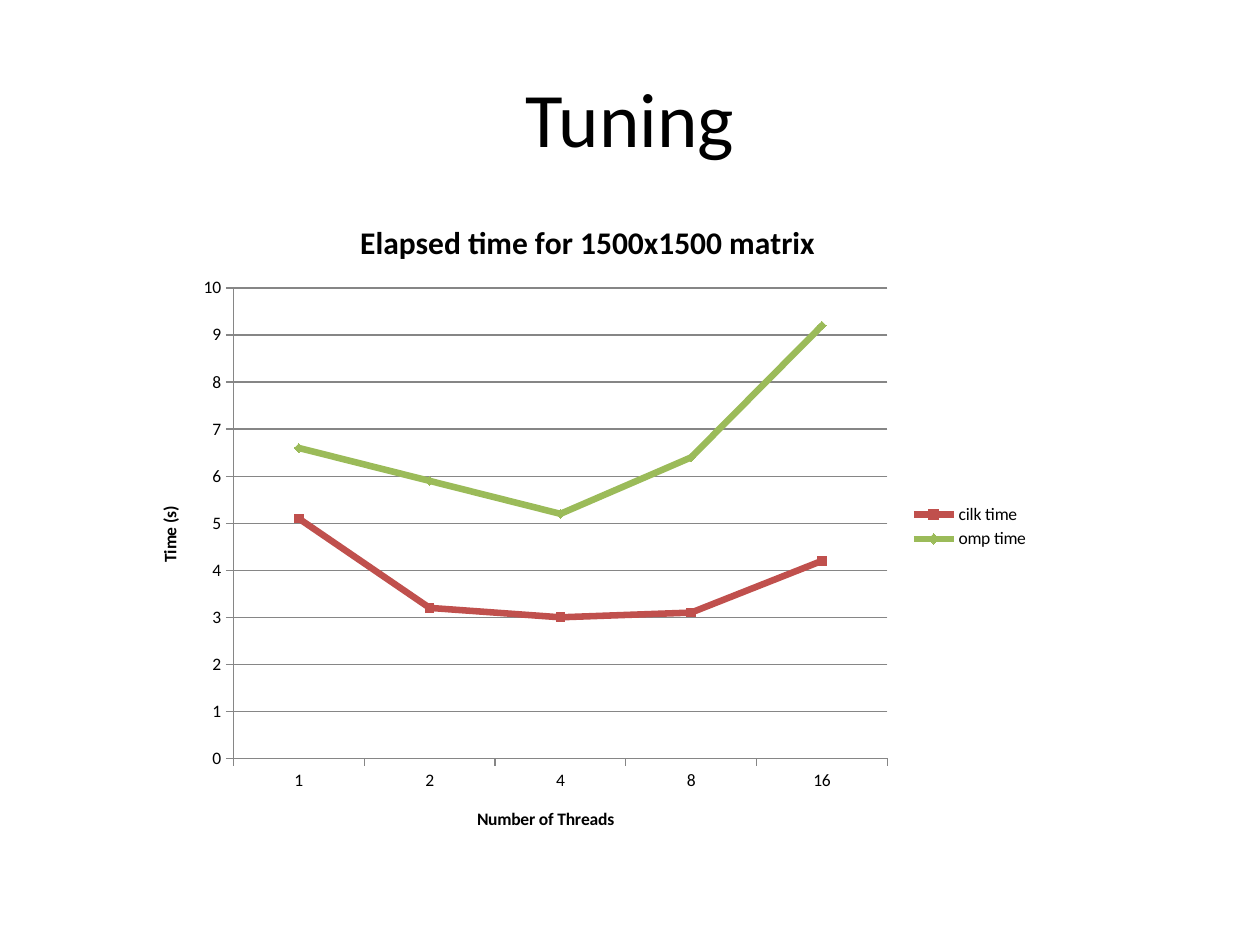
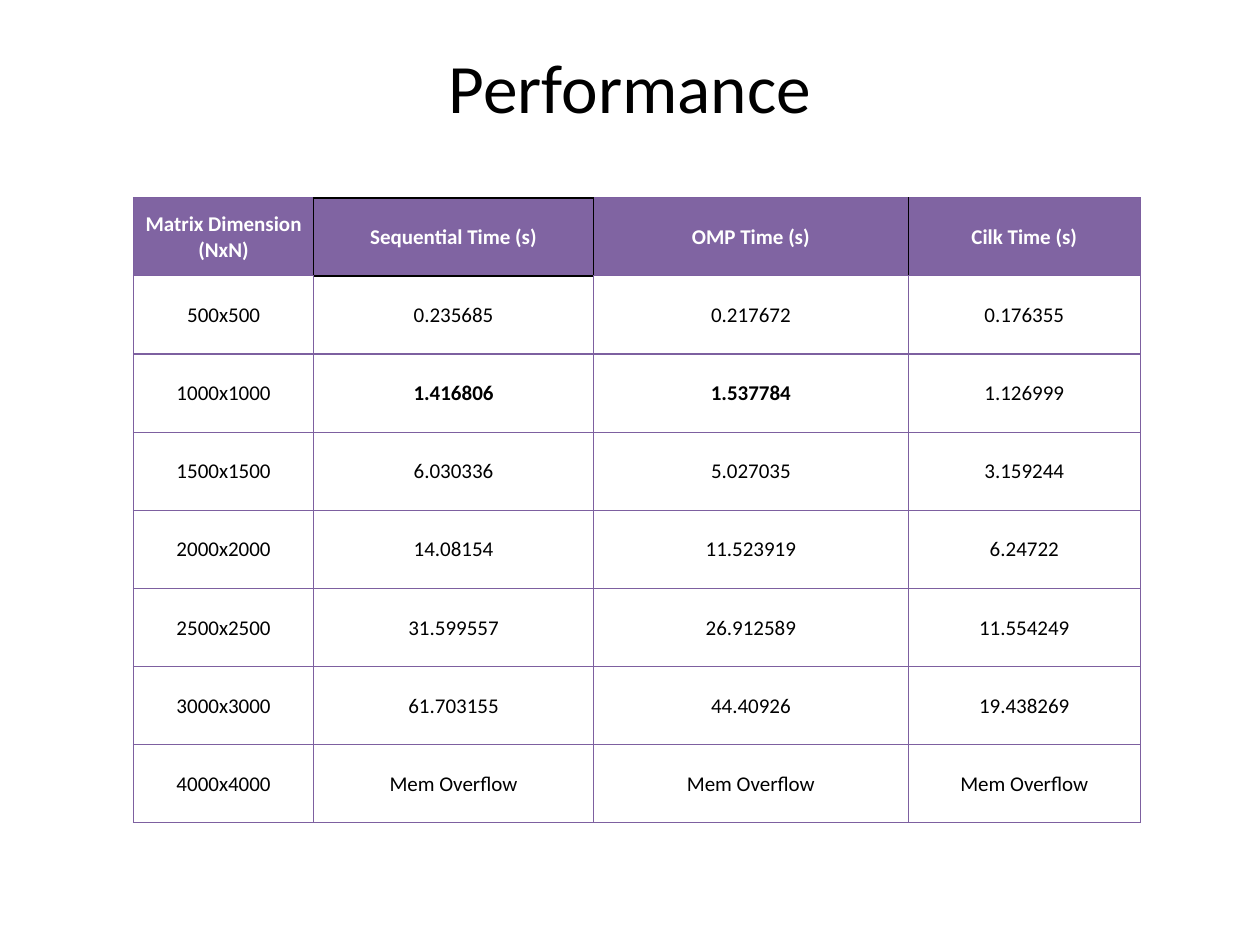
"""Build two slides on matrix timings: a thread tuning chart and a performance table."""
from dataclasses import dataclass
from typing import Any

import pptx
import pptx.chart.data
import pptx.dml.color
import pptx.enum.chart
import pptx.enum.text
import pptx.oxml
import pptx.oxml.ns
import pptx.util
from pptx.util import Inches

FONT = "Calibri"
COLOURS = {
    "text": "000000",
    "paper": "FFFFFF",
    "header": "8064A2",
    "border": "7D60A0",
    "grid": "868686",
    "cilk": "C0504D",
    "omp": "9BBB59",
}
PLOT_AREA = {"x": 0.11, "y": 0.14, "w": 0.72, "h": 0.71}
THREADS = (1, 2, 4, 8, 16)
COLUMN_WIDTHS = (1.43, 2.22, 2.5, 1.84)
ROW_HEIGHT = 0.62
CELL_FORMAT = {
    "margin_left": Inches(0.01),
    "margin_top": Inches(0.01),
    "margin_right": Inches(0.01),
    "margin_bottom": 0,
    "vertical_anchor": pptx.enum.text.MSO_ANCHOR.MIDDLE,
}
TIMINGS = (
    ("Matrix Dimension (NxN)", "Sequential Time (s)", "OMP Time (s)", "Cilk Time (s)"),
    ("500x500", "0.235685", "0.217672", "0.176355"),
    ("1000x1000", "1.416806", "1.537784", "1.126999"),
    ("1500x1500", "6.030336", "5.027035", "3.159244"),
    ("2000x2000", "14.08154", "11.523919", "6.24722"),
    ("2500x2500", "31.599557", "26.912589", "11.554249"),
    ("3000x3000", "61.703155", "44.40926", "19.438269"),
    ("4000x4000", "Mem Overflow", "Mem Overflow", "Mem Overflow"),
)
BOLD_TIMES = {(2, 1), (2, 2)}
BLACK_EDGES = {
    (0, 0): "R",
    (0, 1): "LRTB",
    (0, 2): "LR",
    (0, 3): "L",
    (1, 1): "T",
}


@dataclass(frozen=True)
class Timing:
    name: str
    seconds: tuple[float, ...]
    colour: str
    marker: Any


@dataclass(frozen=True)
class Heading:
    text: str
    height: float
    size: float


TUNING = Heading("Tuning", 1.25, 44)
PERFORMANCE = Heading("Performance", 0.76, 39.6)
MARKERS = pptx.enum.chart.XL_MARKER_STYLE
THREAD_TIMINGS = (
    Timing("cilk time", (5.1, 3.2, 3, 3.1, 4.2), "cilk", MARKERS.SQUARE),
    Timing("omp time", (6.6, 5.9, 5.2, 6.4, 9.2), "omp", MARKERS.DIAMOND),
)


def apply(target: Any, values: dict[str, Any]) -> None:
    for attribute, value in values.items():
        setattr(target, attribute, value)


def rgb(colour: str) -> pptx.dml.color.RGBColor:
    return pptx.dml.color.RGBColor.from_string(COLOURS[colour])


def style_font(font: Any, size: float, bold: bool = False, colour: str = "text") -> None:
    apply(font, {"name": FONT, "size": pptx.util.Pt(size), "bold": bold})
    font.color.rgb = rgb(colour)


def style_line(line: Any, colour: str, width: float) -> None:
    line.color.rgb = rgb(colour)
    line.width = pptx.util.Pt(width)


def add_titled_slide(deck: Any, heading: Heading) -> Any:
    slide = deck.slides.add_slide(deck.slide_layouts[5])
    title = slide.shapes.title
    apply(title, {"left": Inches(0.5), "top": Inches(0.3),
                  "width": Inches(9), "height": Inches(heading.height)})
    title.text_frame.text = heading.text
    title.text_frame.vertical_anchor = pptx.enum.text.MSO_ANCHOR.MIDDLE
    paragraph = title.text_frame.paragraphs[0]
    paragraph.alignment = pptx.enum.text.PP_ALIGN.CENTER
    style_font(paragraph.runs[0].font, heading.size)
    return slide


def set_chart_title(owner: Any, text: str, size: float) -> None:
    frame = (owner.chart_title if hasattr(owner, "chart_title") else owner.axis_title).text_frame
    frame.text = text
    style_font(frame.paragraphs[0].runs[0].font, size, bold=True)


def place_plot(chart: Any) -> None:
    plot_area = chart.plots[0]._element.getparent()
    for old in plot_area.findall(pptx.oxml.ns.qn("c:layout")):
        plot_area.remove(old)
    edges = "".join(f'<c:{key} val="{value}"/>' for key, value in PLOT_AREA.items())
    plot_area.insert(0, pptx.oxml.parse_xml(
        f'<c:layout {pptx.oxml.ns.nsdecls("c")}><c:manualLayout><c:layoutTarget val="inner"/>'
        f'<c:xMode val="edge"/><c:yMode val="edge"/>{edges}</c:manualLayout></c:layout>'))


def add_tuning_chart(slide: Any) -> None:
    data = pptx.chart.data.CategoryChartData()
    data.categories = THREADS
    for timing in THREAD_TIMINGS:
        data.add_series(timing.name, timing.seconds)
    chart = slide.shapes.add_chart(
        pptx.enum.chart.XL_CHART_TYPE.LINE_MARKERS,
        Inches(1.06), Inches(1.55), Inches(7.21), Inches(5.26), data).chart
    style_font(chart.font, 10)
    set_chart_title(chart, "Elapsed time for 1500x1500 matrix", 18)
    chart.has_legend = True
    apply(chart.legend, {"position": pptx.enum.chart.XL_LEGEND_POSITION.RIGHT,
                         "include_in_layout": False})
    for axis, caption in ((chart.category_axis, "Number of Threads"),
                          (chart.value_axis, "Time (s)")):
        set_chart_title(axis, caption, 10)
        axis.major_tick_mark = pptx.enum.chart.XL_TICK_MARK.OUTSIDE
        style_line(axis.format.line, "grid", 0.75)
    apply(chart.value_axis, {"minimum_scale": 0, "maximum_scale": 10, "major_unit": 1,
                             "has_major_gridlines": True})
    style_line(chart.value_axis.major_gridlines.format.line, "grid", 0.75)
    chart.plots[0].vary_by_categories = False
    for series, timing in zip(chart.plots[0].series, THREAD_TIMINGS):
        series.smooth = False
        style_line(series.format.line, timing.colour, 3.75)
        apply(series.marker, {"style": timing.marker, "size": 5})
        series.marker.format.fill.solid()
        series.marker.format.fill.fore_color.rgb = rgb(timing.colour)
        style_line(series.marker.format.line, timing.colour, 0.75)
    place_plot(chart)


def draw_borders(cell: Any, black_sides: str) -> None:
    properties = cell._tc.get_or_add_tcPr()
    for side in "LRTB":
        colour, width = ("text", 1) if side in black_sides else ("border", 0.75)
        properties.append(pptx.oxml.parse_xml(
            f'<a:ln{side} {pptx.oxml.ns.nsdecls("a")} w="{pptx.util.Pt(width)}">'
            f'<a:solidFill><a:srgbClr val="{COLOURS[colour]}"/></a:solidFill></a:ln{side}>'))


def fill_cell(cell: Any, row: int, column: int) -> None:
    is_header = row == 0
    apply(cell, CELL_FORMAT)
    cell.text = TIMINGS[row][column]
    paragraph = cell.text_frame.paragraphs[0]
    paragraph.alignment = pptx.enum.text.PP_ALIGN.CENTER
    style_font(paragraph.runs[0].font, 12, is_header or (row, column) in BOLD_TIMES,
               "paper" if is_header else "text")
    draw_borders(cell, BLACK_EDGES.get((row, column), ""))
    cell.fill.solid()
    cell.fill.fore_color.rgb = rgb("header" if is_header else "paper")


def add_performance_table(slide: Any) -> None:
    table = slide.shapes.add_table(
        len(TIMINGS), len(COLUMN_WIDTHS), Inches(1.06), Inches(1.57),
        Inches(sum(COLUMN_WIDTHS)), Inches(ROW_HEIGHT * len(TIMINGS))).table
    apply(table, {"first_row": False, "horz_banding": False})
    for column, width in zip(table.columns, COLUMN_WIDTHS):
        column.width = Inches(width)
    for row in range(len(TIMINGS)):
        table.rows[row].height = Inches(ROW_HEIGHT)
        for column in range(len(COLUMN_WIDTHS)):
            fill_cell(table.cell(row, column), row, column)


def main() -> None:
    deck = pptx.Presentation()
    apply(deck, {"slide_width": Inches(10), "slide_height": Inches(7.5)})
    add_tuning_chart(add_titled_slide(deck, TUNING))
    add_performance_table(add_titled_slide(deck, PERFORMANCE))
    deck.save("out.pptx")


if __name__ == "__main__":
    main()
